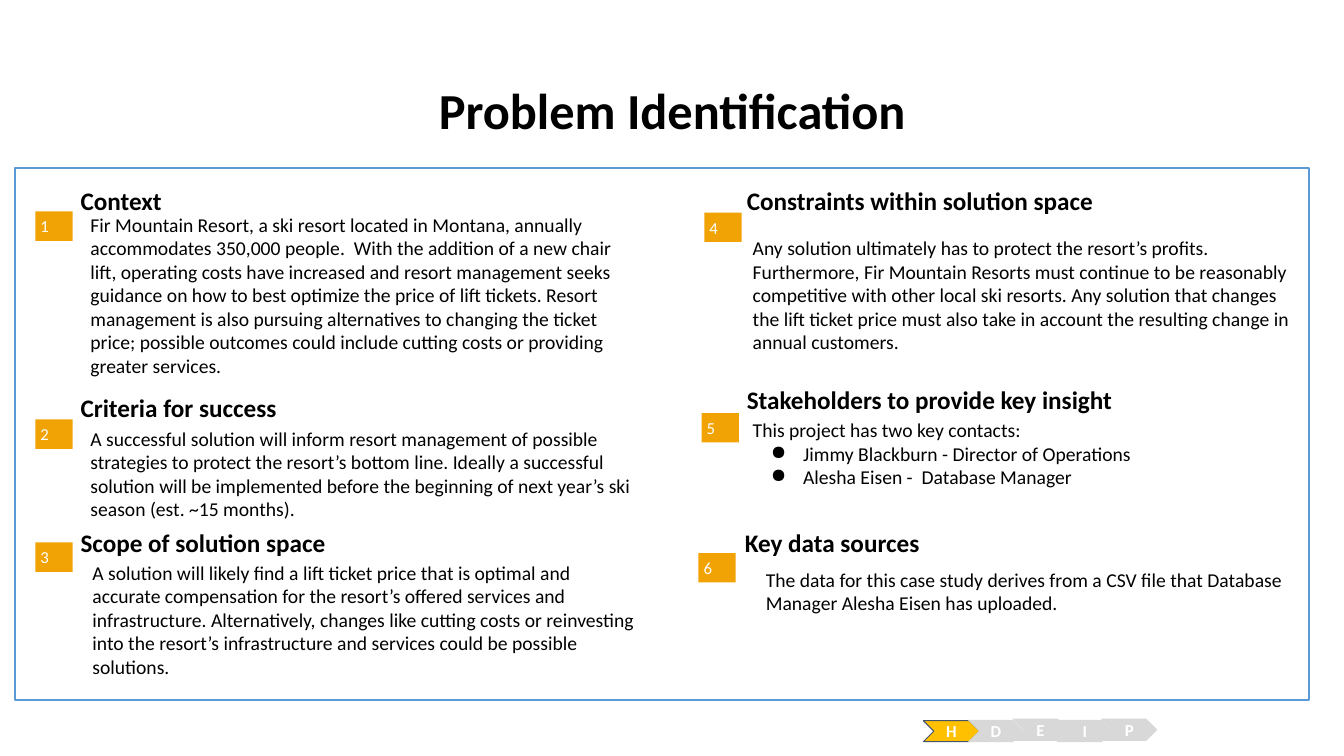
from dataclasses import dataclass

from lxml.etree import SubElement
from pptx import Presentation
from pptx.dml.color import RGBColor
from pptx.enum.shapes import MSO_SHAPE
from pptx.enum.text import MSO_ANCHOR, PP_ALIGN
from pptx.oxml.ns import qn
from pptx.shapes.autoshape import Shape
from pptx.slide import Slide
from pptx.text.text import _Paragraph as Paragraph
from pptx.util import Cm, Pt

FONT_NAME = "Calibri"
BLACK = RGBColor(0x00, 0x00, 0x00)
WHITE = RGBColor(0xFF, 0xFF, 0xFF)
BLUE = RGBColor(0x5B, 0x9B, 0xD5)
ORANGE = RGBColor(0xF1, 0xA2, 0x05)
GOLD = RGBColor(0xFF, 0xC0, 0x00)
SLATE = RGBColor(0x44, 0x54, 0x6A)
GREY = RGBColor(0xD8, 0xD8, 0xD8)

BODY_WIDTH = 14.17
CHEVRON_LEFT = 23.27
CHEVRON_PITCH = 1.12


@dataclass(frozen=True)
class Box:
    left: float
    top: float
    width: float
    height: float

    def lengths(self) -> tuple[Cm, Cm, Cm, Cm]:
        return Cm(self.left), Cm(self.top), Cm(self.width), Cm(self.height)


@dataclass(frozen=True)
class TextStyle:
    size: int
    color: RGBColor = BLACK
    bold: bool = False
    alignment: PP_ALIGN = PP_ALIGN.LEFT
    anchor: MSO_ANCHOR = MSO_ANCHOR.MIDDLE
    side_inset: float = 0.25
    end_inset: float = 0.13


@dataclass(frozen=True)
class Section:
    heading: str
    badge: tuple[float, float]
    heading_corner: tuple[float, float]
    body_corner: tuple[float, float]
    body_height: float
    body: str
    bullets: tuple[str, ...] = ()


@dataclass(frozen=True)
class Stage:
    letter: str
    top: float
    height: float = 0.56
    fill: RGBColor = GREY
    line: RGBColor | None = None


TITLE = TextStyle(36, bold=True, alignment=PP_ALIGN.CENTER)
HEADING = TextStyle(18, bold=True, side_inset=0, end_inset=0)
BODY = TextStyle(14, anchor=MSO_ANCHOR.TOP)
BADGE = TextStyle(12, WHITE, side_inset=0.13)
STAGE = TextStyle(12, WHITE, bold=True, alignment=PP_ALIGN.CENTER)

SECTIONS = (
    Section(
        "Context", (0.89, 5.33), (2.03, 4.75), (2.03, 5.23), 3.61,
        "Fir Mountain Resort, a ski resort located in Montana, annually accommodates "
        "350,000 people.  With the addition of a new chair lift, operating costs have "
        "increased and resort management seeks guidance on how to best optimize the "
        "price of lift tickets. Resort management is also pursuing alternatives to "
        "changing the ticket price; possible outcomes could include cutting costs or "
        "providing greater services.",
    ),
    Section(
        "Criteria for success", (0.89, 10.57), (2.03, 9.98), (2.03, 10.62), 2.51,
        "A successful solution will inform resort management of possible strategies to "
        "protect the resort’s bottom line. Ideally a successful solution will be "
        "implemented before the beginning of next year’s ski season (est. ~15 months).",
    ),
    Section(
        "Scope of solution space", (0.89, 13.67), (2.03, 13.39), (2.08, 14), 1.93,
        "A solution will likely find a lift ticket price that is optimal and accurate "
        "compensation for the resort’s offered services and infrastructure. "
        "Alternatively, changes like cutting costs or reinvesting into the resort’s "
        "infrastructure and services could be possible solutions.",
    ),
    Section(
        "Constraints within solution space", (17.75, 5.36), (18.82, 4.75), (18.72, 5.82), 2.77,
        "Any solution ultimately has to protect the resort’s profits. Furthermore, Fir "
        "Mountain Resorts must continue to be reasonably competitive with other local "
        "ski resorts. Any solution that changes the lift ticket price must also take in "
        "account the resulting change in annual customers.",
    ),
    Section(
        "Stakeholders to provide key insight", (17.68, 10.41), (18.82, 9.78), (18.72, 10.41), 2.77,
        "This project has two key contacts:",
        ("Jimmy Blackburn - Director of Operations", "Alesha Eisen -  Database Manager"),
    ),
    Section(
        "Key data sources", (17.6, 13.94), (18.77, 13.39), (19.05, 14.17), 2.77,
        "The data for this case study derives from a CSV file that Database Manager "
        "Alesha Eisen has uploaded.",
    ),
)

STAGES = (
    Stage("H", 18.16, 0.53, GOLD, SLATE),
    Stage("D", 18.14),
    Stage("E", 18.11),
    Stage("I", 18.14),
    Stage("P", 18.11),
)


def add_run(paragraph: Paragraph, text: str, style: TextStyle) -> None:
    paragraph.alignment = style.alignment
    run = paragraph.add_run()
    run.text = text
    run.font.name = FONT_NAME
    run.font.size = Pt(style.size)
    run.font.bold = style.bold
    run.font.color.rgb = style.color


def write_text(shape: Shape, text: str, style: TextStyle) -> None:
    frame = shape.text_frame
    frame.word_wrap = True
    frame.vertical_anchor = style.anchor
    frame.margin_left = frame.margin_right = Cm(style.side_inset)
    frame.margin_top = frame.margin_bottom = Cm(style.end_inset)
    add_run(frame.paragraphs[0], text, style)


def add_text(slide: Slide, box: Box, text: str, style: TextStyle) -> Shape:
    shape = slide.shapes.add_textbox(*box.lengths())
    write_text(shape, text, style)
    return shape


def add_bullet(shape: Shape, text: str) -> None:
    paragraph = shape.text_frame.add_paragraph()
    properties = paragraph._p.get_or_add_pPr()
    properties.set("marL", str(Cm(1.27)))
    properties.set("indent", str(Cm(-0.81)))
    bullet_color = SubElement(properties, qn("a:buClr"))
    SubElement(bullet_color, qn("a:srgbClr")).set("val", str(BLACK))
    SubElement(properties, qn("a:buChar")).set("char", "●")
    add_run(paragraph, text, BODY)


def add_preset(
    slide: Slide, preset: MSO_SHAPE, box: Box, fill: RGBColor,
    line: RGBColor | None = None, line_width: float = 0.75,
) -> Shape:
    shape = slide.shapes.add_shape(preset, *box.lengths())
    shape.shadow.inherit = False
    shape.fill.solid()
    shape.fill.fore_color.rgb = fill
    if line is None:
        shape.line.fill.background()
    else:
        shape.line.color.rgb = line
        shape.line.width = Pt(line_width)
    return shape


def add_section(slide: Slide, number: int, section: Section) -> None:
    badge = add_preset(slide, MSO_SHAPE.RECTANGLE, Box(*section.badge, 0.94, 0.74), ORANGE)
    write_text(badge, str(number), BADGE)
    add_text(slide, Box(*section.heading_corner, 11.81, 0.58), section.heading, HEADING)
    body_box = Box(*section.body_corner, BODY_WIDTH, section.body_height)
    body = add_text(slide, body_box, section.body, BODY)
    for bullet in section.bullets:
        add_bullet(body, bullet)


def add_stage(slide: Slide, index: int, stage: Stage) -> None:
    box = Box(CHEVRON_LEFT + index * CHEVRON_PITCH, stage.top, 1.42, stage.height)
    chevron = add_preset(slide, MSO_SHAPE.CHEVRON, box, stage.fill, stage.line)
    write_text(chevron, stage.letter, STAGE)


def main() -> None:
    presentation = Presentation()
    presentation.slide_width = Cm(33.87)
    presentation.slide_height = Cm(19.05)
    slide = presentation.slides.add_slide(presentation.slide_layouts[6])
    title = add_text(slide, Box(2.34, 1.02, 29.21, 3.68), "Problem Identification", TITLE)
    title.text_frame.paragraphs[0].line_spacing = 0.9
    add_preset(slide, MSO_SHAPE.RECTANGLE, Box(0.38, 4.24, 32.61, 13.41), WHITE, BLUE, 1.5)
    for number, section in enumerate(SECTIONS, start=1):
        add_section(slide, number, section)
    for index, stage in enumerate(STAGES):
        add_stage(slide, index, stage)
    presentation.save("out.pptx")


if __name__ == "__main__":
    main()
